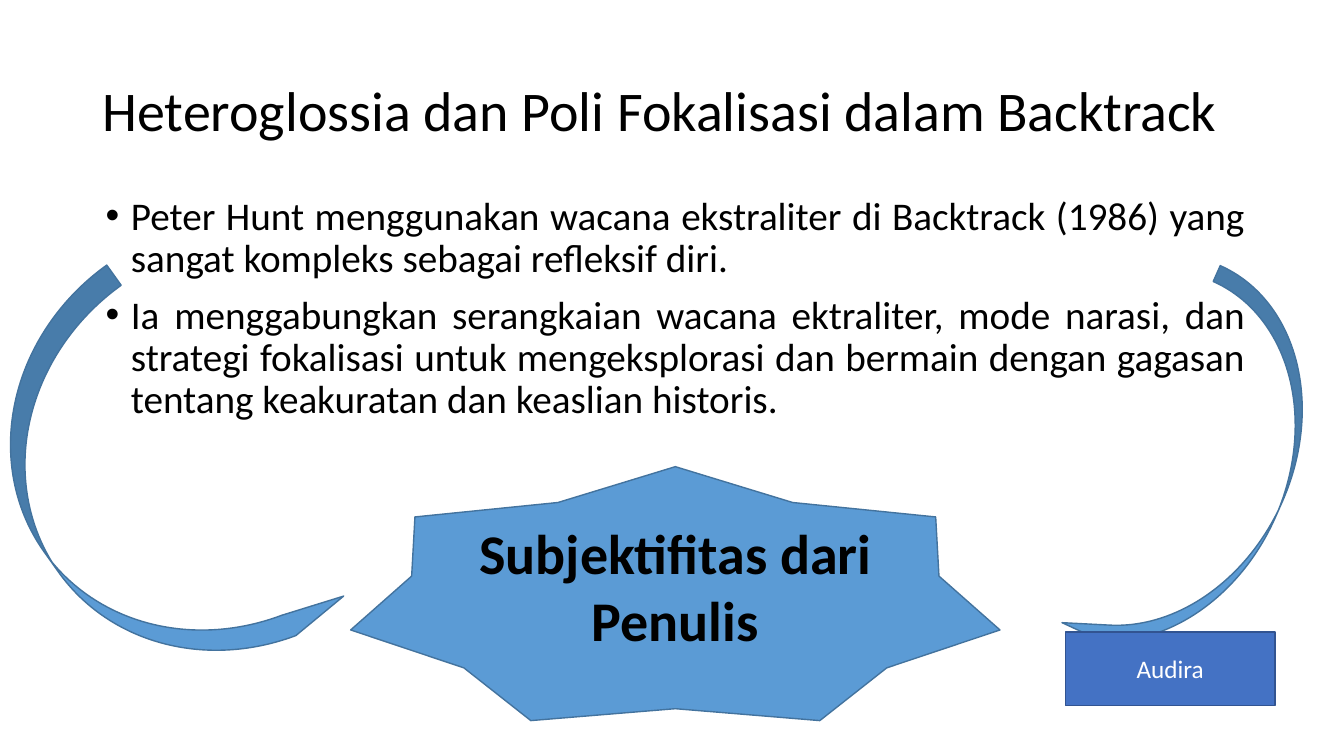
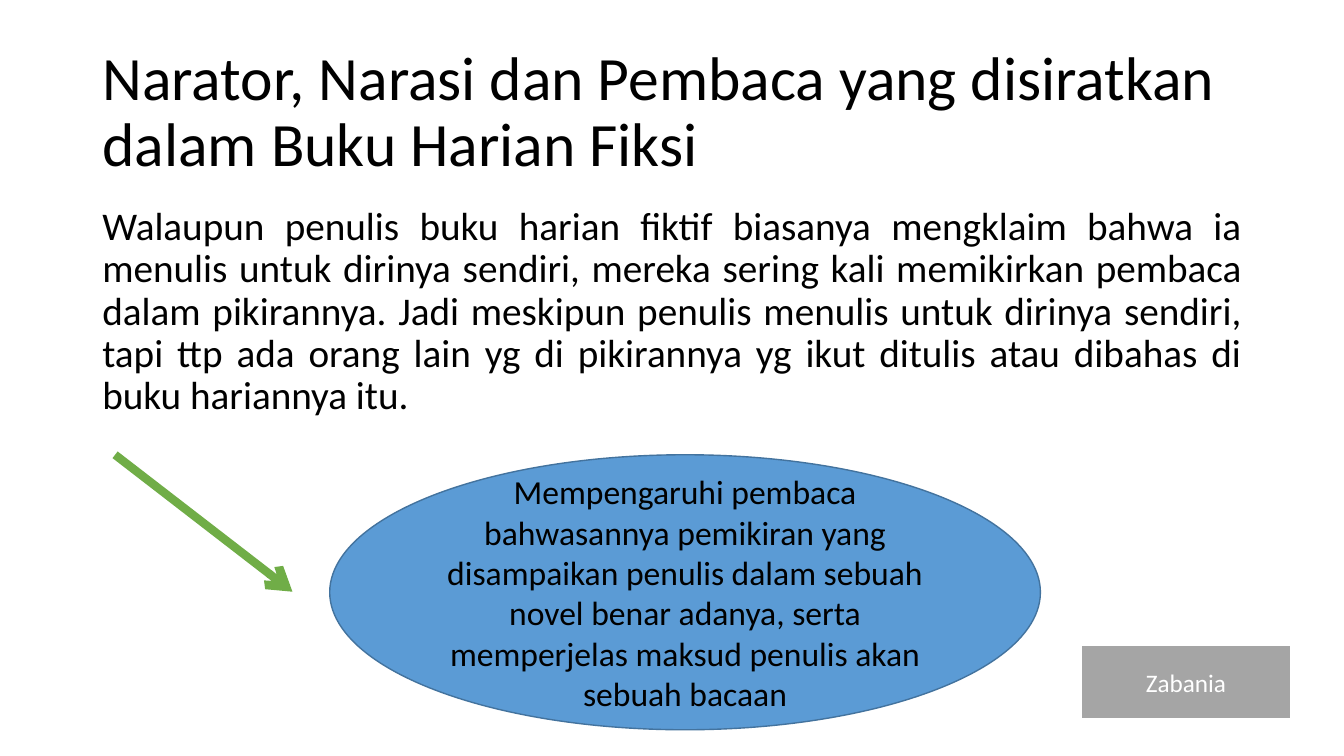
from dataclasses import dataclass
from lxml.etree import SubElement
from pptx import Presentation
from pptx.dml.color import RGBColor
from pptx.enum.shapes import MSO_CONNECTOR, MSO_SHAPE
from pptx.enum.text import MSO_ANCHOR, MSO_AUTO_SIZE, PP_ALIGN
from pptx.oxml.ns import qn
from pptx.util import Cm, Pt


@dataclass(frozen=True)
class Theme:
    """Colours, font and type sizes of both slides."""
    font: str = "Calibri"
    ink: str = "000000"
    white: str = "FFFFFF"
    sky: str = "5B9BD5"
    edge: str = "43739E"
    blue: str = "4472C4"
    navy: str = "325491"
    grey: str = "A5A5A5"
    green: str = "70AD47"
    body: int = 28
    note: int = 24
    label: int = 18
    big: int = 40


LOOK = Theme()
WIDE, HIGH = 33.87, 19.05
HEAD = (2.33, 1.01, 29.21, 3.69)
BODY = (29.21, 12.09)
TAG = (5.28, 1.85)
STAR = (0.406, 1.026, 1.052)
CURVE = (0.26, 0.114, 0.284)
SKY = (LOOK.sky, LOOK.edge, 1)

SLIDES = [
    dict(
        title="Heteroglossia dan Poli Fokalisasi dalam Backtrack ", size=40,
        spot=(2.41, 4.83), bullet=True,
        body=["Peter Hunt menggunakan wacana ekstraliter di Backtrack (1986) "
              "yang sangat kompleks sebagai refleksif diri.",
              "Ia menggabungkan serangkaian wacana ektraliter, mode narasi, "
              "dan strategi fokalisasi untuk mengeksplorasi dan bermain "
              "dengan gagasan tentang keakuratan dan keaslian historis."],
        shapes=[
            dict(kind=MSO_SHAPE.STAR_7_POINT, box=(8.84, 11.76, 16.36, 6.4),
                 paint=SKY, adj=STAR, text="Subjektifitas dari Penulis",
                 form=dict(size=LOOK.big, bold=True)),
            dict(kind=MSO_SHAPE.CURVED_RIGHT_ARROW, paint=SKY, adj=CURVE,
                 box=(0.79, 7.29, 5.49, 10.57), turn=324.4),
            dict(kind=MSO_SHAPE.CURVED_RIGHT_ARROW, paint=SKY, adj=CURVE,
                 box=(28.55, 7.04, 3.84, 10.06), turn=23.9, flip=True)],
        arrows=[],
        tag=("Audira", (26.85, 15.93), (LOOK.blue, LOOK.navy, 1))),
    dict(
        title="Narator, Narasi dan Pembaca yang disiratkan dalam Buku Harian "
              "Fiksi", size=44,
        spot=(2.33, 5.08), bullet=False,
        body=["Walaupun penulis buku harian fiktif biasanya mengklaim bahwa "
              "ia menulis untuk dirinya sendiri, mereka sering kali memikirkan "
              "pembaca dalam pikirannya. Jadi meskipun penulis menulis untuk "
              "dirinya sendiri, tapi ttp ada orang lain yg di pikirannya yg "
              "ikut ditulis atau dibahas di buku hariannya itu."],
        shapes=[
            dict(kind=MSO_SHAPE.OVAL, box=(8.31, 11.46, 17.91, 6.93),
                 paint=SKY, form=dict(size=LOOK.note),
                 text="Mempengaruhi pembaca bahwasannya pemikiran yang "
                      "disampaikan penulis dalam sebuah novel benar adanya, "
                      "serta memperjelas maksud penulis akan sebuah bacaan")],
        arrows=[(2.9, 11.46, 7.37, 14.91)],
        tag=("Zabania", (27.25, 16.26), (LOOK.grey, LOOK.white, 1.5))),
]


def apply(item, **form):
    """Set each named attribute on an item."""
    for name, value in form.items():
        setattr(item, name, value)


def place(item, box):
    """Move and size an item in centimetres."""
    apply(item, **dict(zip(("left", "top", "width", "height"), map(Cm, box))))


def write(para, text, size, ink=LOOK.ink, bold=False, **form):
    """Put one formatted run into a paragraph."""
    apply(para, **form)
    run = para.add_run()
    run.text = text
    apply(run.font, name=LOOK.font, size=Pt(size), bold=bold)
    run.font.color.rgb = RGBColor.from_string(ink)


def stroke(line, ink, width):
    """Colour a line and set its width in points."""
    line.color.rgb = RGBColor.from_string(ink)
    line.width = Pt(width)


def dot(para):
    """Give a paragraph a hanging bullet."""
    props = para._p.get_or_add_pPr()
    indent = Cm(0.64)
    props.set("marL", str(indent))
    props.set("indent", str(-indent))
    SubElement(props, qn("a:buFont")).set("typeface", "Arial")
    SubElement(props, qn("a:buChar")).set("char", "•")


def add_title(slide, text, size):
    """Fill the title placeholder."""
    title = slide.shapes.title
    place(title, HEAD)
    frame = title.text_frame
    apply(frame, vertical_anchor=MSO_ANCHOR.MIDDLE, word_wrap=True,
          auto_size=MSO_AUTO_SIZE.NONE)
    write(frame.paragraphs[0], text, size, alignment=PP_ALIGN.LEFT,
          line_spacing=0.9)


def add_body(slide, spot, texts, bullet):
    """Add the justified body text."""
    frame = slide.shapes.add_textbox(*map(Cm, spot + BODY)).text_frame
    frame.word_wrap = True
    for i, text in enumerate(texts):
        para = frame.add_paragraph() if i else frame.paragraphs[0]
        write(para, text, LOOK.body, alignment=PP_ALIGN.JUSTIFY,
              line_spacing=0.9, space_before=Pt(10))
        if bullet:
            dot(para)


def add_form(slide, kind, box, paint, text="", form=None, adj=(), turn=0,
             flip=False):
    """Add a filled preset shape with optional centred text."""
    shape = slide.shapes.add_shape(kind, *map(Cm, box))
    fill, edge, width = paint
    shape.shadow.inherit = False
    shape.fill.solid()
    shape.fill.fore_color.rgb = RGBColor.from_string(fill)
    stroke(shape.line, edge, width)
    for i, value in enumerate(adj):
        shape.adjustments[i] = value
    shape.rotation = turn
    if flip:
        shape._element.spPr.find(qn("a:xfrm")).set("flipH", "1")
    if text:
        frame = shape.text_frame
        apply(frame, word_wrap=True, vertical_anchor=MSO_ANCHOR.MIDDLE)
        write(frame.paragraphs[0], text, alignment=PP_ALIGN.CENTER, **form)


def add_arrow(slide, ends):
    """Add a thick straight arrow."""
    line = slide.shapes.add_connector(MSO_CONNECTOR.STRAIGHT, *map(Cm, ends))
    stroke(line.line, LOOK.green, 6)
    SubElement(line.line._get_or_add_ln(), qn("a:tailEnd")).set("type", "arrow")
    SubElement(line._element.spPr, qn("a:effectLst"))


def build(deck, data):
    """Build one slide from its content."""
    slide = deck.slides.add_slide(deck.slide_layouts[5])
    add_title(slide, data["title"], data["size"])
    add_body(slide, data["spot"], data["body"], data["bullet"])
    for shape in data["shapes"]:
        add_form(slide, **shape)
    for ends in data["arrows"]:
        add_arrow(slide, ends)
    name, spot, paint = data["tag"]
    add_form(slide, MSO_SHAPE.RECTANGLE, spot + TAG, paint, name,
             dict(size=LOOK.label, ink=LOOK.white))


deck = Presentation()
apply(deck, slide_width=Cm(WIDE), slide_height=Cm(HIGH))
for data in SLIDES:
    build(deck, data)
deck.save("out.pptx")
